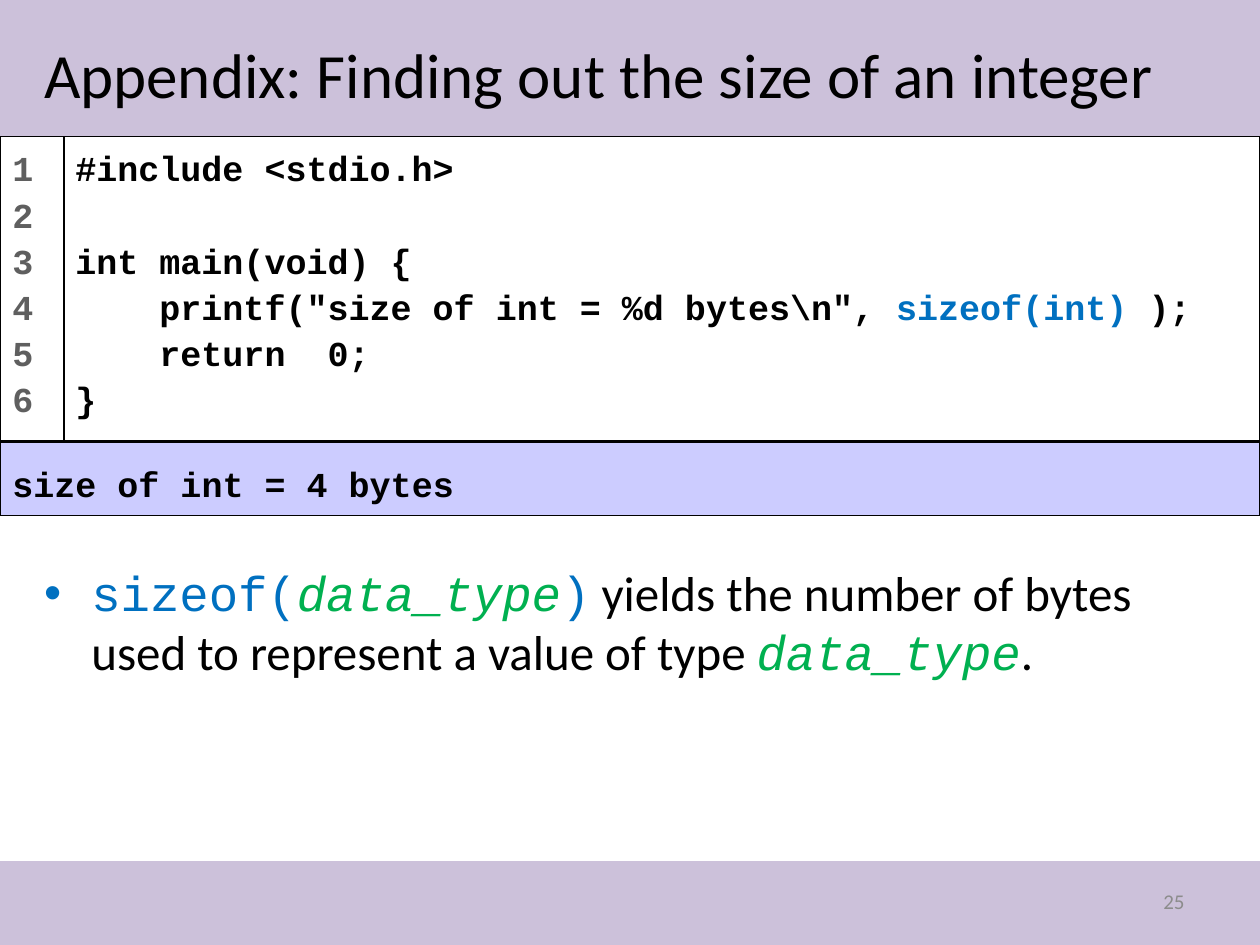
from pptx import Presentation
from pptx.dml.color import RGBColor
from pptx.enum.shapes import MSO_SHAPE
from pptx.enum.text import MSO_ANCHOR, MSO_AUTO_SIZE, PP_ALIGN
from pptx.util import Inches, Pt

BLACK = RGBColor(0x00, 0x00, 0x00)
WHITE = RGBColor(0xFF, 0xFF, 0xFF)
LILAC = RGBColor(0xCC, 0xC1, 0xDA)
PERIWINKLE = RGBColor(0xCC, 0xCC, 0xFF)
BLUE = RGBColor(0x00, 0x70, 0xC0)
GREEN = RGBColor(0x00, 0xB0, 0x50)
DARK_GREY = RGBColor(0x5F, 0x5F, 0x5F)
PALE_GREY = RGBColor(0x8C, 0x8C, 0x8C)

COLUMNS, ROWS = 120, 90


class SlideBuilder:
    prose_font = "Calibri"
    code_font = "Courier New"
    code_size = 20
    border = Pt(0.75)

    def __init__(self, deck):
        self.slide = deck.slides.add_slide(deck.slide_layouts[1])
        self.column = deck.slide_width / COLUMNS
        self.row = deck.slide_height / ROWS

    def area(self, left, top, width, height):
        """Turn grid columns and rows into slide lengths."""
        return (round(left * self.column), round(top * self.row),
                round(width * self.column), round(height * self.row))

    def add_text(self, paragraph, text, size, color, font=None, bold=None, italic=None):
        run = paragraph.add_run()
        run.text = text
        run.font.size = Pt(size)
        run.font.name = font or self.prose_font
        run.font.color.rgb = color
        run.font.bold = bold
        run.font.italic = italic

    def box(self, grid_area, fill, outlined=False):
        box = self.slide.shapes.add_shape(MSO_SHAPE.RECTANGLE, *self.area(*grid_area))
        box.shadow.inherit = False
        box.fill.solid()
        box.fill.fore_color.rgb = fill
        if outlined:
            box.line.color.rgb = BLACK
            box.line.width = self.border
        else:
            box.line.fill.background()
        return box

    def listing(self, grid_area, lines, fill=WHITE, spacing=1.1, margins=(0.1, 0.05, 0.1, 0.05)):
        """Bordered box of code; each line is a list of (text, color) parts."""
        frame = self.box(grid_area, fill, outlined=True).text_frame
        frame.word_wrap = True
        frame.vertical_anchor = MSO_ANCHOR.TOP
        (frame.margin_left, frame.margin_top,
         frame.margin_right, frame.margin_bottom) = map(Inches, margins)
        for index, parts in enumerate(lines):
            paragraph = frame.add_paragraph() if index else frame.paragraphs[0]
            paragraph.alignment = PP_ALIGN.LEFT
            paragraph.line_spacing = spacing
            paragraph.font.size = Pt(self.code_size)
            for text, color in parts:
                self.add_text(paragraph, text, self.code_size, color, self.code_font, bold=True)
        return frame

    def placeholder(self, index, grid_area, anchor):
        """Move a template placeholder in front of the shapes drawn so far."""
        holder = self.slide.placeholders[index]
        holder.left, holder.top, holder.width, holder.height = self.area(*grid_area)
        self.slide.shapes._spTree.append(holder._element)
        frame = holder.text_frame
        frame.auto_size = MSO_AUTO_SIZE.NONE
        frame.vertical_anchor = anchor
        paragraph = frame.paragraphs[0]
        paragraph.alignment = PP_ALIGN.LEFT
        return paragraph

    def title(self, grid_area, text):
        self.add_text(self.placeholder(0, grid_area, MSO_ANCHOR.MIDDLE), text, 36, BLACK)

    def bullet(self, grid_area, parts):
        paragraph = self.placeholder(1, grid_area, MSO_ANCHOR.TOP)
        for text, color, font, italic in parts:
            self.add_text(paragraph, text, 28, color, font, italic=italic)

    def page_number(self, grid_area, number):
        frame = self.slide.shapes.add_textbox(*self.area(*grid_area)).text_frame
        frame.word_wrap = True
        frame.vertical_anchor = MSO_ANCHOR.MIDDLE
        frame.paragraphs[0].alignment = PP_ALIGN.RIGHT
        self.add_text(frame.paragraphs[0], number, 12, PALE_GREY)


def main():
    deck = Presentation()
    deck.slide_width, deck.slide_height = Inches(10), Inches(7.5)
    page = SlideBuilder(deck)

    # Header and footer bands
    page.box((0, 0, COLUMNS, 13), LILAC)
    page.box((0, 82, COLUMNS, 8), LILAC)
    page.page_number((86, 83.4, 28, 4.8), "25")
    page.title((3, 1, 114, 12), "Appendix: Finding out the size of an integer")

    # Program with its line numbers
    program = [
        [("#include <stdio.h>", BLACK)],
        [],
        [("int main(void) {", BLACK)],
        [('    printf("size of int = %d bytes\\n", ', BLACK),
         ("sizeof(int) ", BLUE), (");", BLACK)],
        [("    return  0;", BLACK)],
        [("}", BLACK)],
    ]
    line_numbers = [[(str(n), DARK_GREY)] for n in range(1, len(program) + 1)]
    page.listing((6, 13, 114, 29), program)
    page.listing((0, 13, 6.1, 29), line_numbers, margins=(0.1, 0.05, 0, 0.05))

    # Explanation
    code = page.code_font
    prose = page.prose_font
    page.bullet((3, 53, 114, 27), [
        ("sizeof(", BLUE, code, False),
        ("data_type", GREEN, code, True),
        (")", BLUE, code, False),
        (" yields the number of bytes used to represent a value of type ", BLACK, prose, False),
        ("data_type", GREEN, code, True),
        (".", BLACK, prose, False),
    ])

    # Program output
    output = page.listing((0, 42.1, COLUMNS, 7), [[("size of int = 4 bytes", BLACK)]],
                          PERIWINKLE, spacing=0.9, margins=(0.1, 0.2, 0.1, 0.1))
    output.paragraphs[0].space_before = Pt(4)

    deck.save("out.pptx")


if __name__ == "__main__":
    main()
